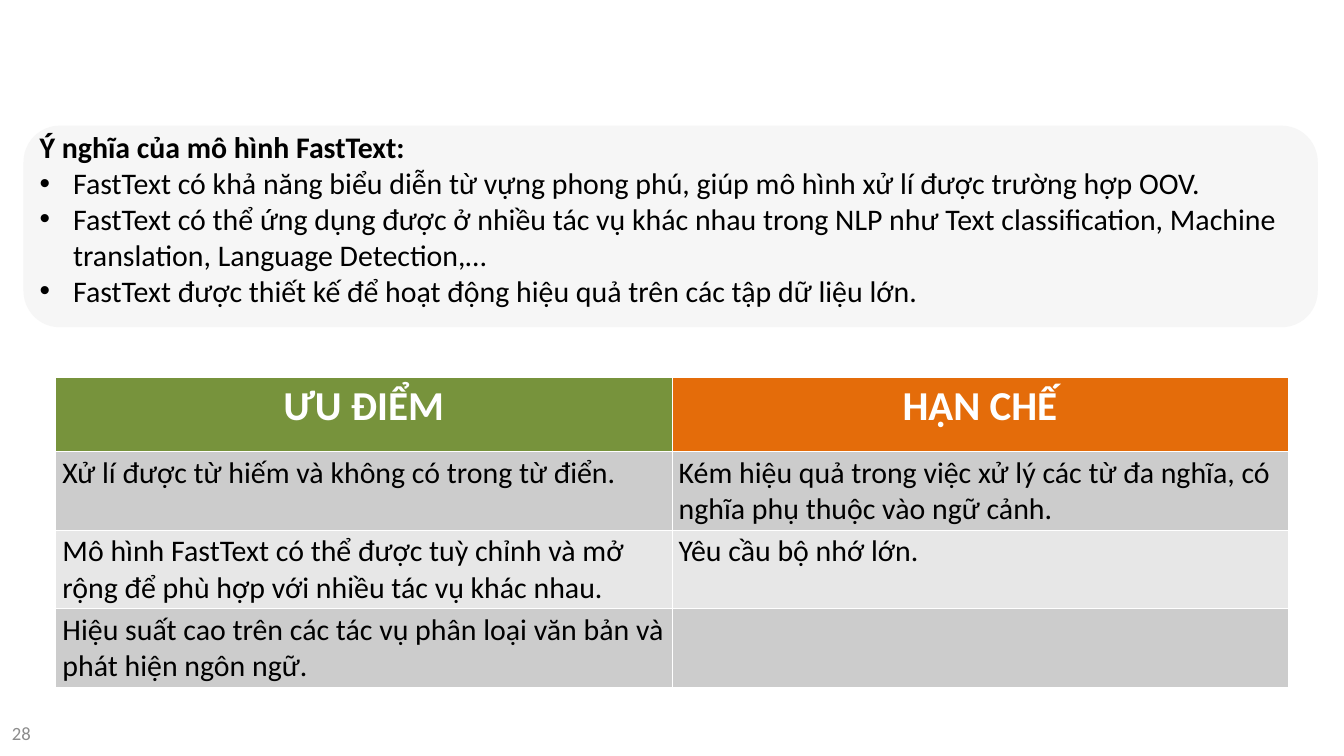
from pptx import Presentation
from pptx.dml.color import RGBColor
from pptx.enum.shapes import MSO_SHAPE as SHAPE
from pptx.enum.text import MSO_ANCHOR as ANCHOR, PP_ALIGN as ALIGN
from pptx.oxml.ns import qn
from pptx.util import Inches, Pt
from lxml import etree

FONT = "Calibri"
HEADING = "Ý nghĩa của mô hình FastText:"
POINTS = [
    "FastText có khả năng biểu diễn từ vựng phong phú, giúp mô hình xử lí được trường hợp OOV.",
    "FastText có thể ứng dụng được ở nhiều tác vụ khác nhau trong NLP như "
    "Text classification, Machine translation, Language Detection,…",
    "FastText được thiết kế để hoạt động hiệu quả trên các tập dữ liệu lớn.",
]
HEADERS = [("ƯU ĐIỂM", "77933C"), ("HẠN CHẾ", "E46C0A")]
ROWS = [
    ("Xử lí được từ hiếm và không có trong từ điển.",
     "Kém hiệu quả trong việc xử lý các từ đa nghĩa, có nghĩa phụ thuộc vào ngữ cảnh."),
    ("Mô hình FastText có thể được tuỳ chỉnh và mở rộng để phù hợp với nhiều tác vụ khác nhau.",
     "Yêu cầu bộ nhớ lớn."),
    ("Hiệu suất cao trên các tác vụ phân loại văn bản và phát hiện ngôn ngữ.", ""),
]
BANDS = ["CCCCCC", "E7E7E7"]


def set_fill(target, color):
    target.fill.solid()
    target.fill.fore_color.rgb = RGBColor.from_string(color)


def write(p, text, size, color="000000", bold=False, align=ALIGN.LEFT):
    p.text = text
    p.alignment = align
    p.font.name = FONT
    p.font.size = Pt(size)
    p.font.bold = bold
    p.font.color.rgb = RGBColor.from_string(color)


def add_bullet(p, indent):
    pPr = p._p.get_or_add_pPr()
    pPr.set("marL", str(indent))
    pPr.set("indent", str(-indent))
    font = etree.Element(qn("a:buFont"), typeface="Arial")
    char = etree.Element(qn("a:buChar"), char="•")
    # Bullet elements must come before the default run properties.
    pPr.insert(0, font)
    font.addnext(char)


def add_text_box(slide, left, top, width, height):
    tf = slide.shapes.add_textbox(left, top, width, height).text_frame
    tf.word_wrap = True
    return tf


def add_meaning_panel(slide, left, top, width, height):
    sp = slide.shapes.add_shape(SHAPE.ROUNDED_RECTANGLE, left, top, width, height)
    sp.adjustments[0] = 0.18
    sp.shadow.inherit = False
    sp.line.fill.background()
    set_fill(sp, "F1F1F1")
    color = sp._element.spPr.find(qn("a:solidFill"))[0]
    etree.SubElement(color, qn("a:alpha"), val="64000")

    margin = Inches(0.14)
    tf = add_text_box(slide, left + margin, top, width - margin, height)
    write(tf.paragraphs[0], HEADING, 32, bold=True)
    for point in POINTS:
        p = tf.add_paragraph()
        write(p, point, 32)
        add_bullet(p, Inches(0.5))


def add_comparison_table(slide, left, top, width, height):
    table = slide.shapes.add_table(len(ROWS) + 1, len(HEADERS), left, top, width, height).table
    for cell, (title, color) in zip(table.rows[0].cells, HEADERS):
        set_fill(cell, color)
        write(cell.text_frame.paragraphs[0], title, 44, "FFFFFF", True, ALIGN.CENTER)
    for i, texts in enumerate(ROWS):
        for cell, text in zip(table.rows[i + 1].cells, texts):
            set_fill(cell, BANDS[i % 2])
            write(cell.text_frame.paragraphs[0], text, 32)


def add_page_number(slide, left, top, width, height):
    tf = add_text_box(slide, left, top, width, height)
    tf.vertical_anchor = ANCHOR.MIDDLE
    write(tf.paragraphs[0], "28", 20, "8C8C8C")


def main():
    prs = Presentation()
    prs.slide_width, prs.slide_height = Inches(20), Inches(11.25)
    slide = prs.slides.add_slide(prs.slide_layouts[6])
    add_page_number(slide, Inches(0.08), Inches(10.71), Inches(2.33), Inches(0.4))
    add_meaning_panel(slide, Inches(0.35), Inches(1.87), Inches(19.26), Inches(3))
    add_comparison_table(slide, Inches(0.83), Inches(5.62), Inches(18.34), Inches(4.4))
    prs.save("out.pptx")


if __name__ == "__main__":
    main()
